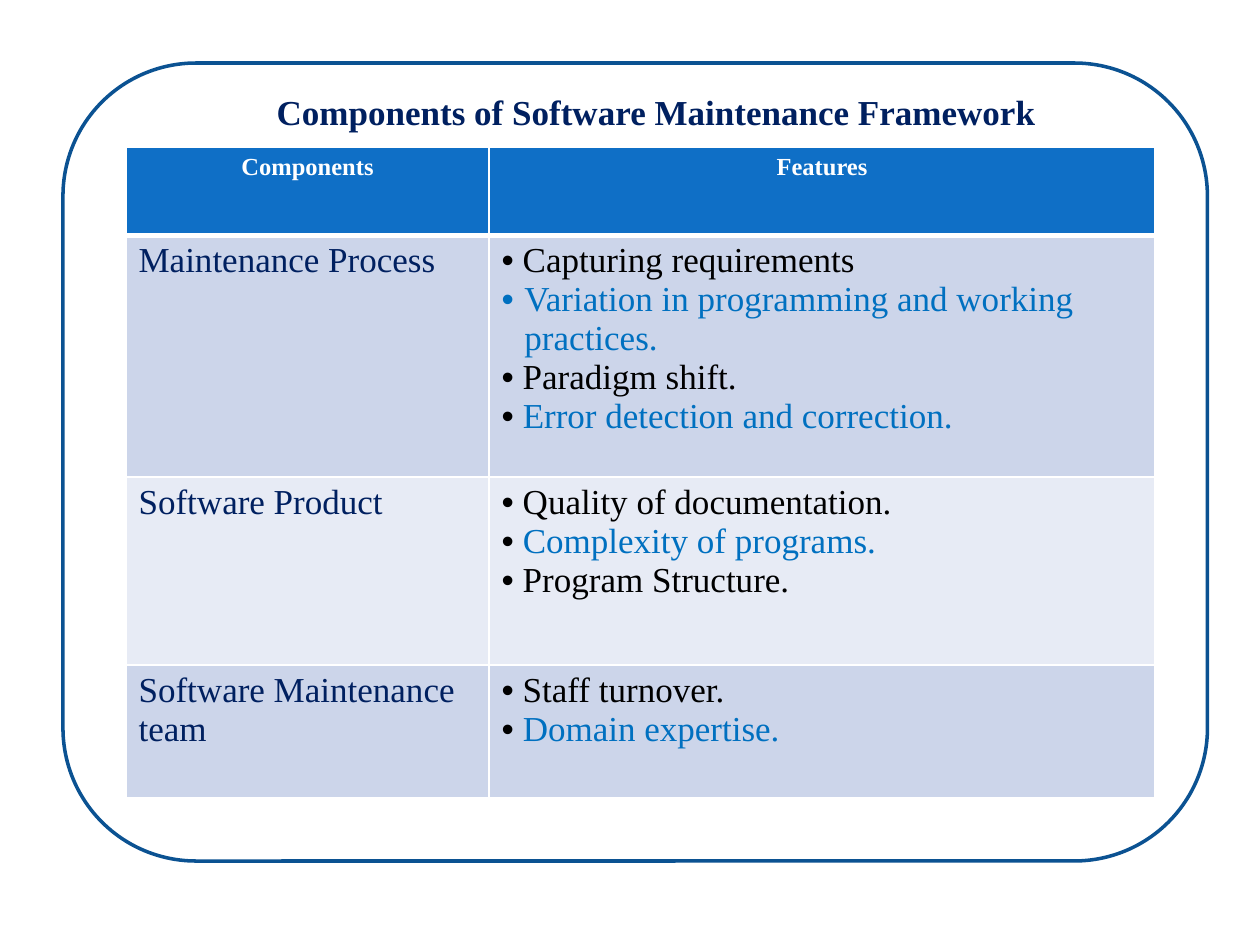
from lxml import etree
from pptx import Presentation
from pptx.dml.color import RGBColor
from pptx.enum import shapes, text
from pptx.oxml import ns
from pptx.util import Pt

FONT = "Times New Roman"
WHITE = RGBColor(0xFF, 0xFF, 0xFF)
BLACK = RGBColor(0, 0, 0)
NAVY = RGBColor(0x00, 0x20, 0x60)
BLUE = RGBColor(0x00, 0x70, 0xC0)
FRAME_LINE = RGBColor(0x0B, 0x52, 0x92)
HEADER_FILL = RGBColor(0x0F, 0x6F, 0xC6)
BAND_FILLS = (RGBColor(0xCC, 0xD5, 0xEA), RGBColor(0xE7, 0xEB, 0xF5))

COLUMN_WIDTHS = (207.5, 380.5)
ROW_HEIGHTS = (50.4, 138.2, 107.4, 76)
HEADERS = ("Components", "Features")
# Each feature is a list of runs; an indented feature hangs behind its bullet.
COMPONENTS = (
    ("Maintenance Process", (
        ([(" Capturing requirements", BLACK)], 0),
        ([("Variation in programming and working practices.", BLUE)], 13),
        ([(" Paradigm shift.", BLACK)], 0),
        ([(" ", BLACK), ("Error detection and correction.", BLUE)], 0),
    )),
    ("Software Product", (
        ([(" Quality of documentation.", BLACK)], 0),
        ([(" ", BLACK), ("Complexity of programs.", BLUE)], 0),
        ([(" Program Structure.", BLACK)], 0),
    )),
    ("Software Maintenance team", (
        ([(" Staff turnover.", BLACK)], 0),
        ([(" ", BLACK), ("Domain expertise.", BLUE)], 0),
    )),
)


def add_run(paragraph, words, color, size=20, bold=False):
    run = paragraph.add_run()
    run.text = words
    run.font.name = FONT
    run.font.size = Pt(size)
    run.font.bold = bold
    run.font.color.rgb = color


def add_frame(slide):
    frame = slide.shapes.add_shape(
        shapes.MSO_SHAPE.ROUNDED_RECTANGLE, Pt(36), Pt(36), Pt(654), Pt(456))
    frame.shadow.inherit = False
    frame.fill.solid()
    frame.fill.fore_color.rgb = WHITE
    frame.line.color.rgb = FRAME_LINE
    frame.line.width = Pt(2)


def add_title(slide):
    box = slide.shapes.add_textbox(Pt(120), Pt(48), Pt(510), Pt(31.5))
    box.text_frame.word_wrap = True
    box.text_frame.auto_size = text.MSO_AUTO_SIZE.SHAPE_TO_FIT_TEXT
    paragraph = box.text_frame.paragraphs[0]
    paragraph.alignment = text.PP_ALIGN.CENTER
    add_run(paragraph, "Components of Software Maintenance Framework", NAVY, bold=True)


def set_bullet(paragraph, indent):
    properties = paragraph._p.get_or_add_pPr()
    properties.set("marL", str(Pt(indent)))
    properties.set("indent", str(-Pt(indent)))
    etree.SubElement(properties, ns.qn("a:buFont"), typeface="Arial")
    etree.SubElement(properties, ns.qn("a:buChar"), char="•")


def style_cell(cell, fill, top=1, bottom=1):
    """Set white borders, with widths in points, and then the fill."""
    properties = cell._tc.get_or_add_tcPr()
    for side, width in (("L", 1), ("R", 1), ("T", top), ("B", bottom)):
        line = etree.SubElement(properties, ns.qn(f"a:ln{side}"), w=str(Pt(width)))
        solid = etree.SubElement(line, ns.qn("a:solidFill"))
        etree.SubElement(solid, ns.qn("a:srgbClr"), val=str(WHITE))
    cell.fill.solid()
    cell.fill.fore_color.rgb = fill


def fill_header(table):
    for cell, heading in zip(table.rows[0].cells, HEADERS):
        style_cell(cell, HEADER_FILL, bottom=3)
        paragraph = cell.text_frame.paragraphs[0]
        paragraph.alignment = text.PP_ALIGN.CENTER
        add_run(paragraph, heading, WHITE, size=14, bold=True)


def fill_features(cell, features):
    frame = cell.text_frame
    for index, (runs, indent) in enumerate(features):
        paragraph = frame.add_paragraph() if index else frame.paragraphs[0]
        set_bullet(paragraph, indent)
        for words, color in runs:
            add_run(paragraph, words, color)


def add_components_table(slide):
    table = slide.shapes.add_table(
        len(ROW_HEIGHTS), len(COLUMN_WIDTHS), Pt(72), Pt(84),
        Pt(sum(COLUMN_WIDTHS)), Pt(sum(ROW_HEIGHTS))).table
    for column, width in zip(table.columns, COLUMN_WIDTHS):
        column.width = Pt(width)
    for row, height in zip(table.rows, ROW_HEIGHTS):
        row.height = Pt(height)

    fill_header(table)
    for index, (component, features) in enumerate(COMPONENTS):
        name_cell, features_cell = table.rows[index + 1].cells
        for cell in (name_cell, features_cell):
            style_cell(cell, BAND_FILLS[index % 2], top=1 if index else 3)
        add_run(name_cell.text_frame.paragraphs[0], component, NAVY)
        fill_features(features_cell, features)


def main():
    presentation = Presentation()
    presentation.slide_width = Pt(720)
    presentation.slide_height = Pt(540)
    slide = presentation.slides.add_slide(presentation.slide_layouts[6])
    add_frame(slide)
    add_title(slide)
    add_components_table(slide)
    presentation.save("out.pptx")


if __name__ == "__main__":
    main()
